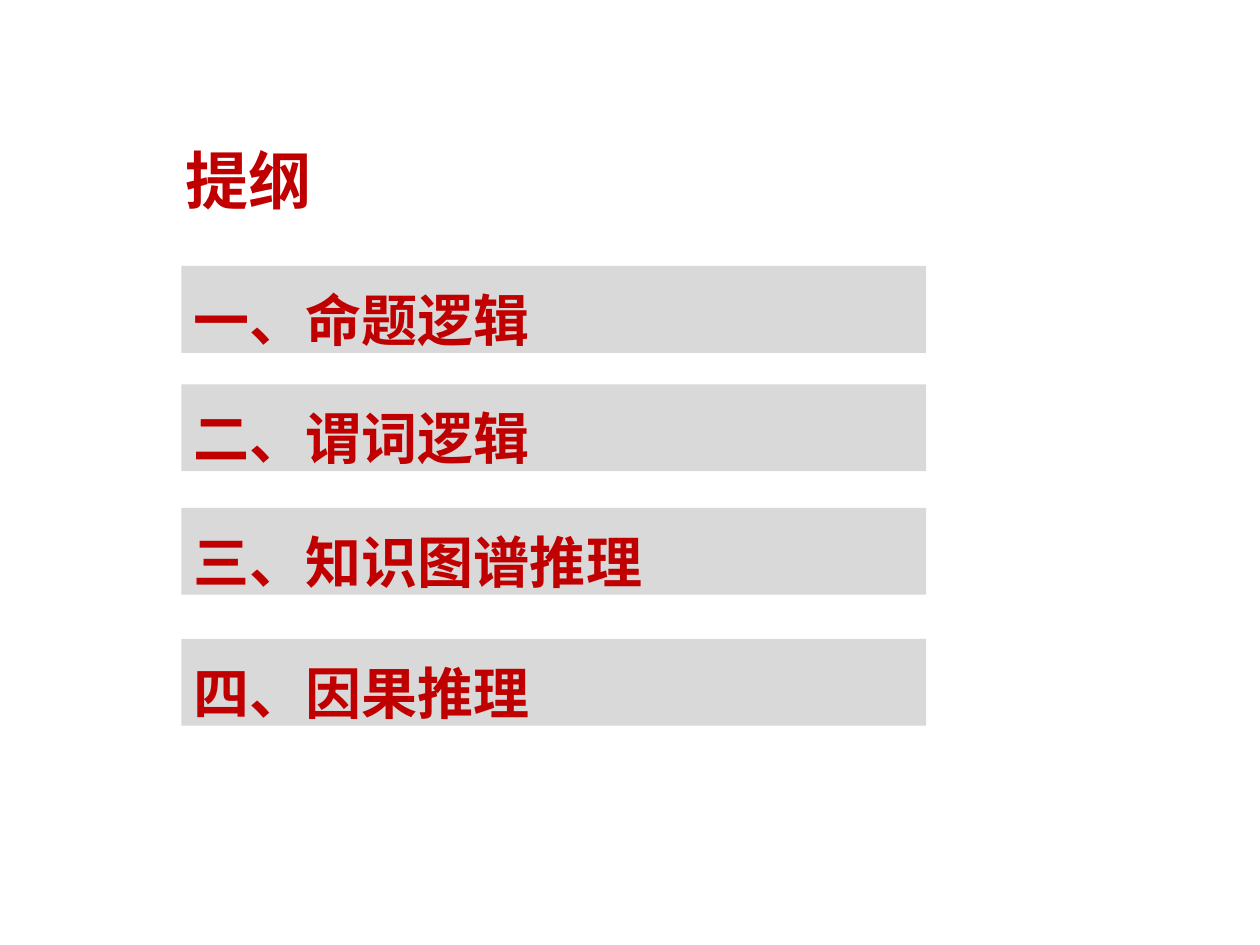
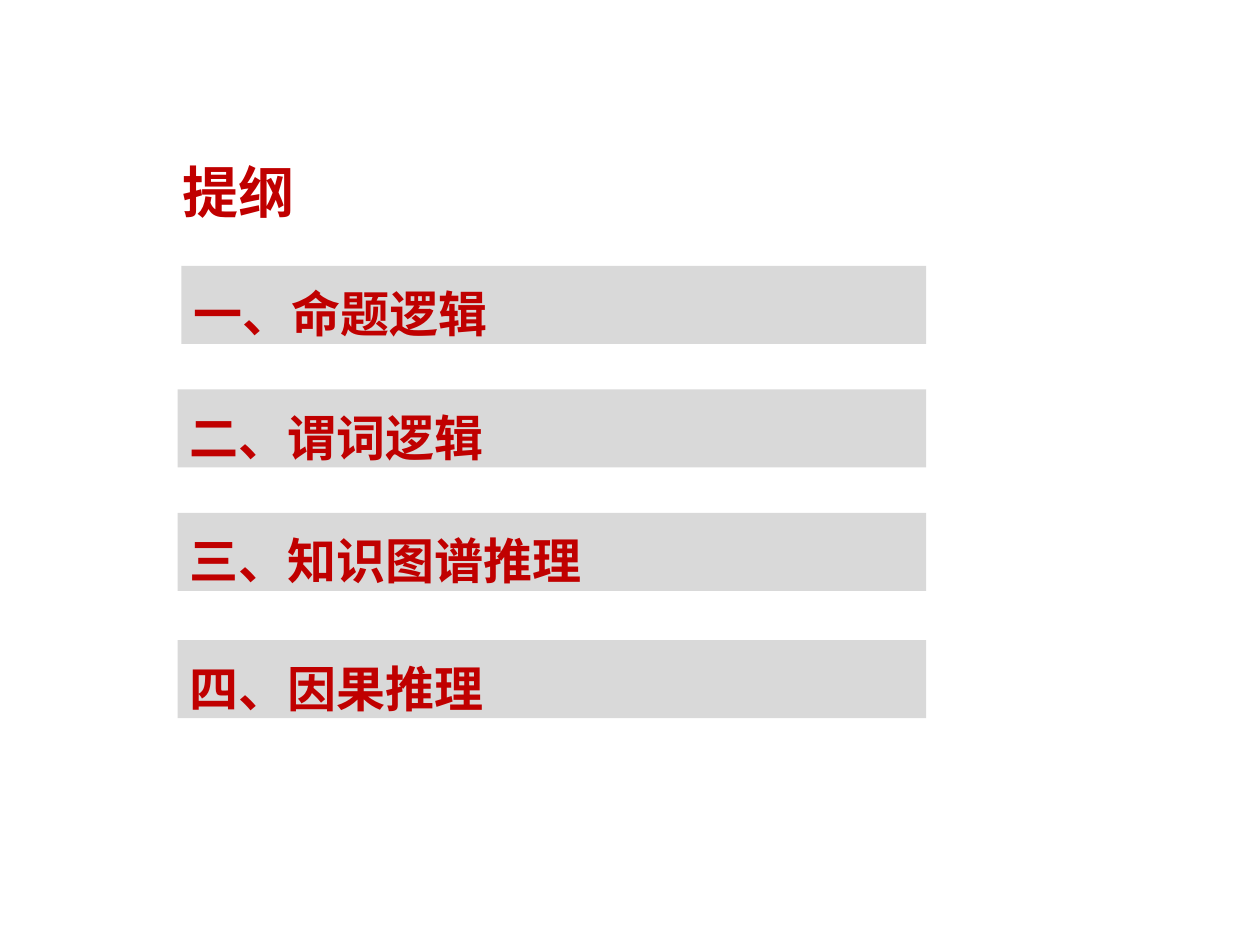
import dataclasses

import pptx
import pptx.dml.color
import pptx.enum.shapes
import pptx.enum.text
import pptx.oxml
import pptx.oxml.ns
import pptx.util


@dataclasses.dataclass(frozen=True)
class Theme:
    font: str = "Roboto Slab"
    accent: str = "C00000"
    bar: str = "D9D9D9"
    line_spacing: float = 1.2
    title_indent: float = 0.42  # in ems
    inset: float = 7.2          # in points


TITLE = "提纲"
TOPICS = ["一、命题逻辑", "二、谓词逻辑", "三、知识图谱推理", "四、因果推理"]
COLS, ROWS = 100, 75


class Deck:
    def __init__(self, theme):
        self.theme = theme
        self.prs = pptx.Presentation()
        self.prs.slide_width = pptx.util.Inches(10)
        self.prs.slide_height = pptx.util.Inches(7.5)
        self.s = None

    def box(self, col, row, cols, rows):
        """Turn grid columns and rows into slide lengths."""
        dx = self.prs.slide_width / COLS
        dy = self.prs.slide_height / ROWS
        return [round(v) for v in (col * dx, row * dy, cols * dx, rows * dy)]

    def add_slide(self):
        self.s = self.prs.slides.add_slide(self.prs.slide_layouts[5])

    def set_text(self, tf, text, size, anchor):
        tf.word_wrap = True
        tf.vertical_anchor = anchor
        p = tf.paragraphs[0]
        p.alignment = pptx.enum.text.PP_ALIGN.LEFT
        r = p.add_run()
        r.text = text
        r.font.name = self.theme.font
        r.font.size = pptx.util.Pt(size)
        r.font.bold = True
        r.font.color.rgb = pptx.dml.color.RGBColor.from_string(self.theme.accent)
        # Chinese glyphs take the East Asian typeface
        latin = r.font._element.find(pptx.oxml.ns.qn("a:latin"))
        ea = pptx.oxml.parse_xml(
            f'<a:ea {pptx.oxml.ns.nsdecls("a")} typeface="{self.theme.font}"/>')
        latin.addnext(ea)
        return p

    def title(self, text, size, row):
        sp = self.s.shapes.title
        sp.left, sp.top, sp.width, sp.height = self.box(11.6, row, 55.6, 7.4)
        tf = sp.text_frame
        tf.auto_size = pptx.enum.text.MSO_AUTO_SIZE.NONE
        tf.margin_left = pptx.util.Pt(
            self.theme.inset + self.theme.title_indent * size)
        self.set_text(tf, text, size, pptx.enum.text.MSO_ANCHOR.MIDDLE)

    def bar(self, text, size, left, right, row, height):
        sp = self.s.shapes.add_shape(
            pptx.enum.shapes.MSO_SHAPE.RECTANGLE,
            *self.box(left, row, right - left, height))
        sp.shadow.inherit = False
        sp.fill.solid()
        sp.fill.fore_color.rgb = pptx.dml.color.RGBColor.from_string(self.theme.bar)
        sp.line.fill.background()
        p = self.set_text(sp.text_frame, text, size, pptx.enum.text.MSO_ANCHOR.TOP)
        p.line_spacing = self.theme.line_spacing

    def outline(self, title_size, title_row, size, height, lefts, rows):
        self.add_slide()
        self.title(TITLE, title_size, title_row)
        for text, left, row in zip(TOPICS, lefts, rows):
            self.bar(text, size, left, 73.5, row, height)


def main():
    deck = Deck(Theme())

    # Outline, large type
    deck.outline(title_size=36, title_row=10.5, size=32, height=6.9,
                 lefts=[14.4] * 4, rows=[21.1, 30.5, 40.3, 50.7])

    # Outline, smaller type
    deck.outline(title_size=32, title_row=11.5, size=28, height=6.2,
                 lefts=[14.4] + [14.1] * 3, rows=[21.1, 30.9, 40.7, 50.8])

    deck.prs.save("out.pptx")


if __name__ == "__main__":
    main()
